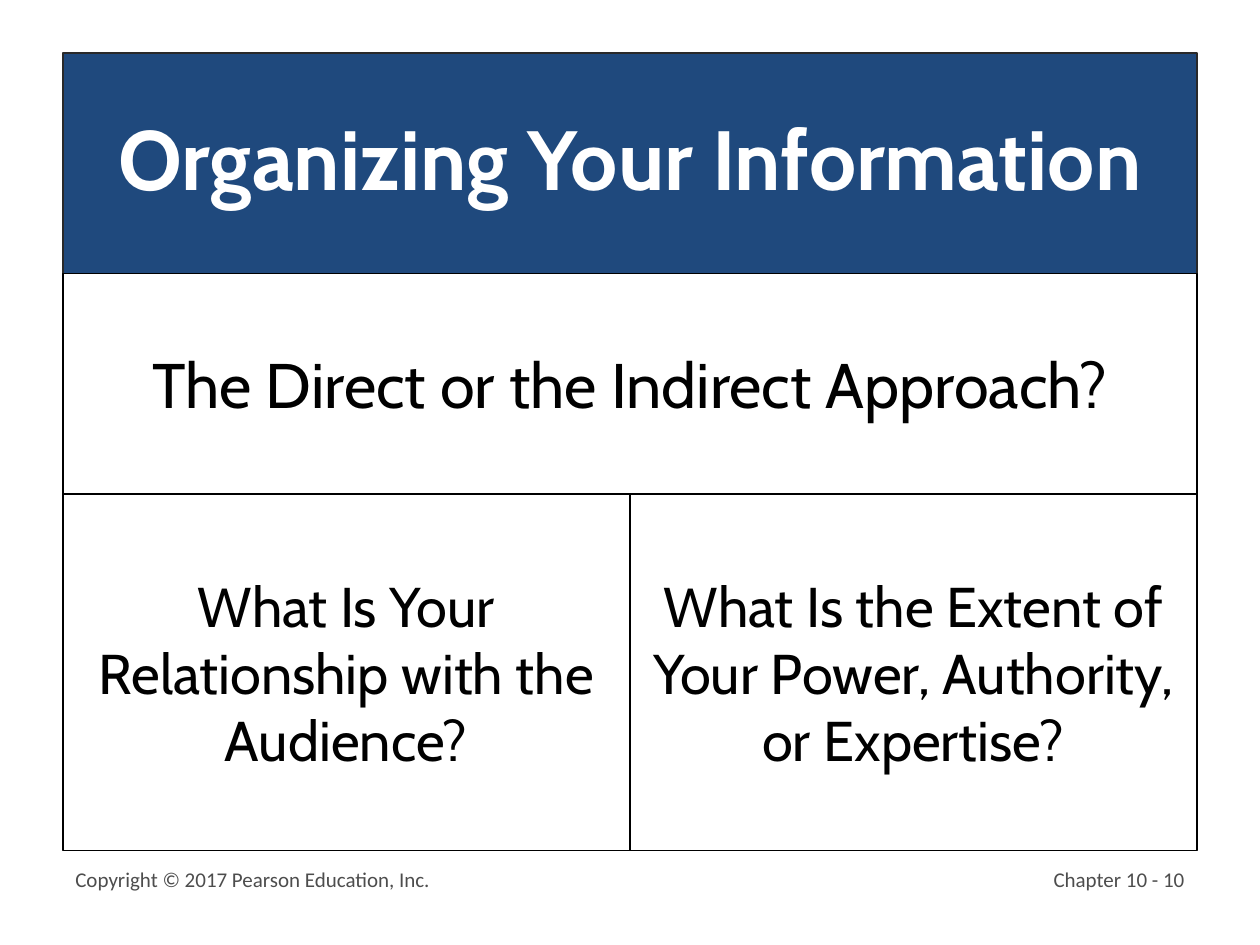
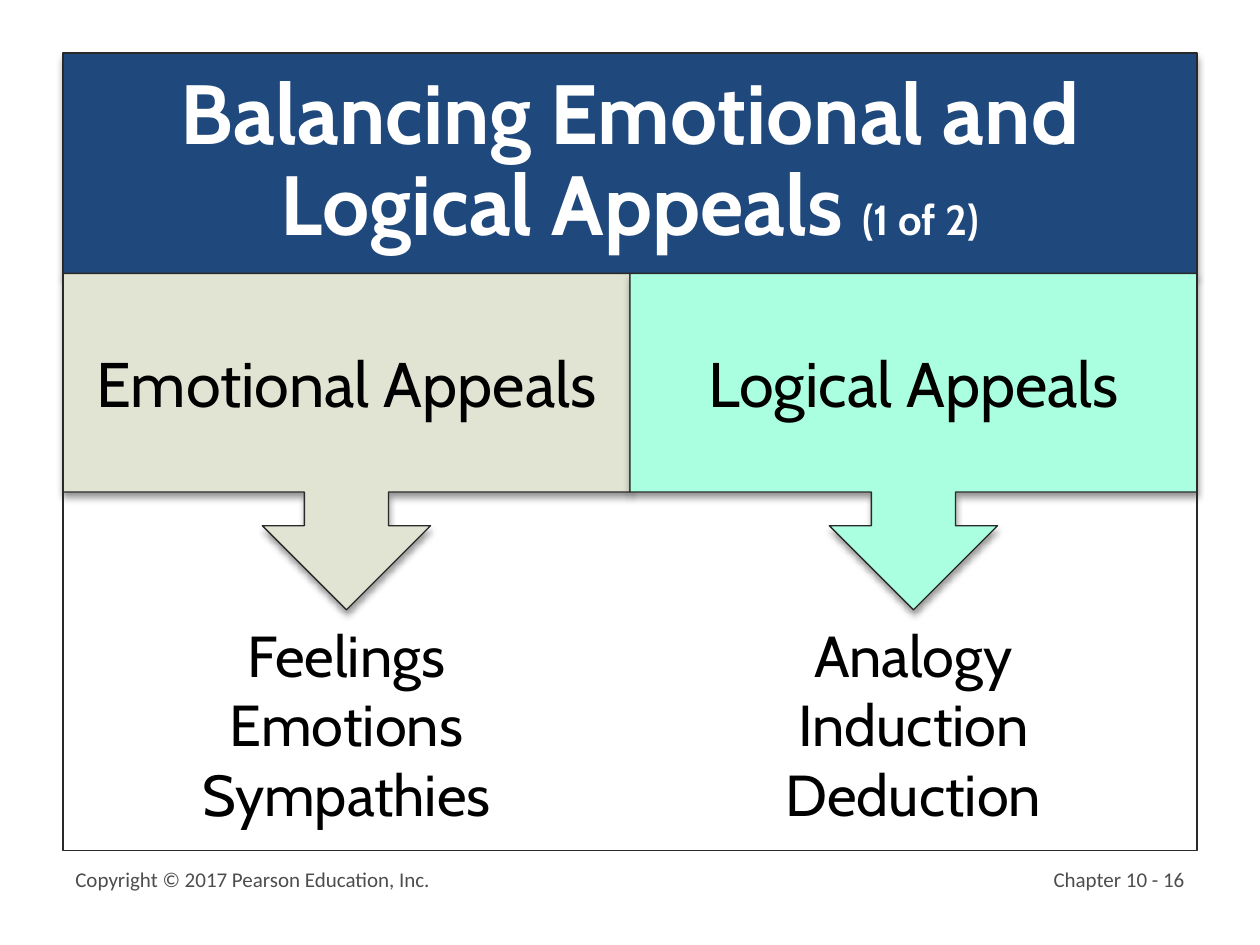
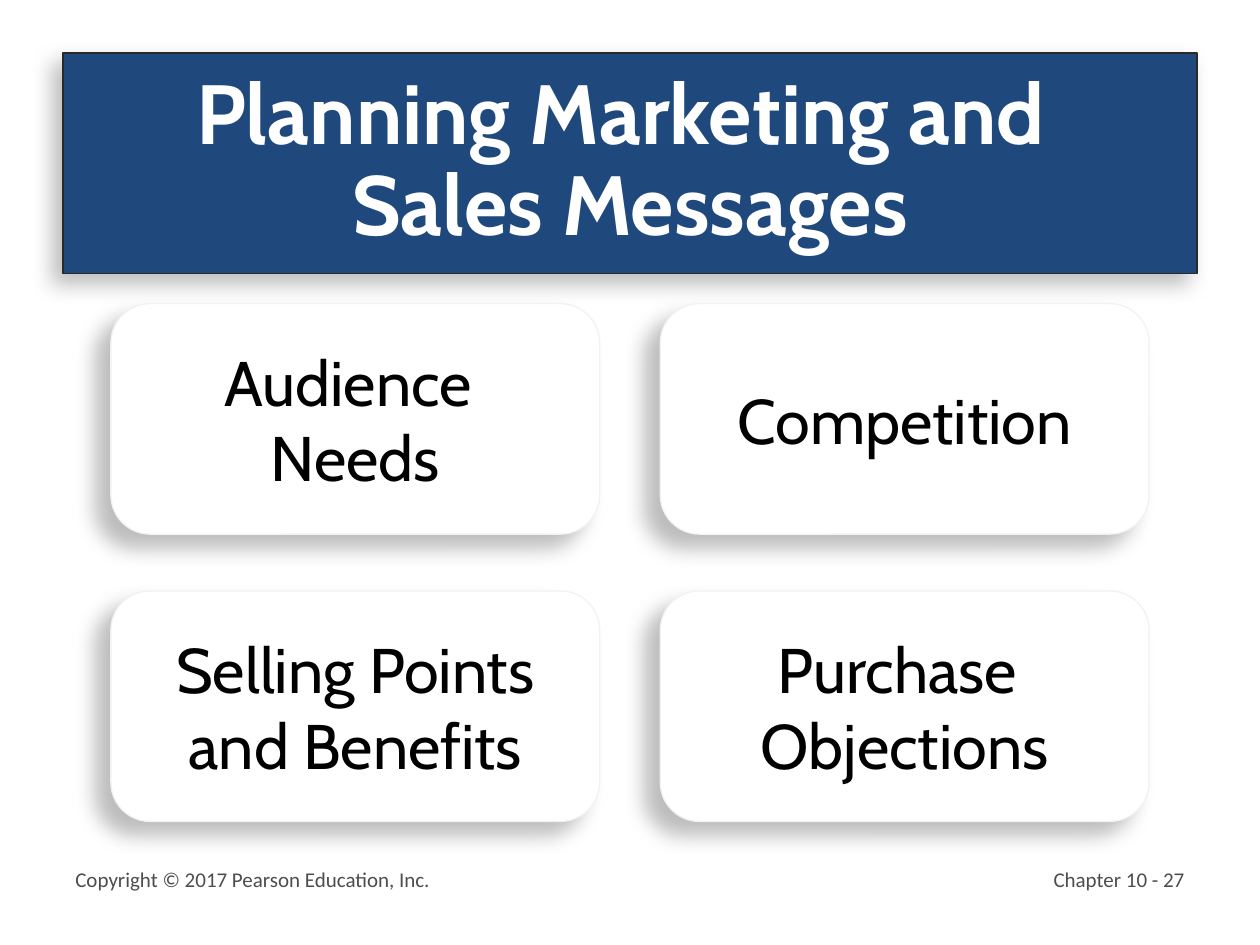
from dataclasses import dataclass

from lxml.etree import SubElement as Sub
from pptx import Presentation as Deck
from pptx.dml.color import RGBColor as Rgb
from pptx.enum.shapes import MSO_SHAPE as Geo
from pptx.enum.text import MSO_ANCHOR as Anchor, MSO_AUTO_SIZE as Auto, PP_ALIGN as Align
from pptx.oxml.ns import qn
from pptx.util import Inches, Pt


@dataclass(frozen=True)
class Theme:
    navy: str = "1F497D"
    white: str = "FFFFFF"
    black: str = "000000"
    edge: str = "292929"
    pale: str = "F2F2F2"
    sand: str = "E1E3D3"
    mint: str = "ABFFE1"
    gray: str = "4D4D4D"
    font: str = "Cabin"
    plain: str = "Calibri"
    title: int = 48
    large: int = 36
    items: int = 33
    body: int = 32
    count: int = 24
    foot: int = 12


T = Theme()

LEFT, TOP, WIDE, BAND = 0.5, 0.42, 9, 1.75
HALF = WIDE / 2
HEAD = TOP + BAND
BASE = 6.75
MID = LEFT + HALF

# Shadows: opacity in percent, blur and distance in points, angle in degrees
SOFT = (40, 4, 3, 90)
CAST = (25, 11.8, 8, 141)
DEEP = (25, 11.8, 12, 141)


def style(run, size, font, color, bold):
    face = run.font
    face.size, face.name, face.bold = Pt(size), font, bold
    face.color.rgb = Rgb.from_string(color)


def write(shape, *lines, size=T.large, font=T.font, color=T.black, bold=False,
          align=Align.CENTER, anchor=Anchor.MIDDLE, space=None):
    """Fill a shape with one paragraph per line."""
    frame = shape.text_frame
    frame.word_wrap = True
    frame.auto_size = Auto.NONE
    frame.vertical_anchor = anchor
    frame.text = "\n".join(lines)
    for para in frame.paragraphs:
        para.alignment = align
        para.line_spacing = space
        for run in para.runs:
            style(run, size, font, color, bold)


def shade(shape, alpha, blur, dist, angle):
    effect = shape._element.spPr.find(qn("a:effectLst"))
    outer = Sub(effect, qn("a:outerShdw"), blurRad=str(Pt(blur)), dist=str(Pt(dist)),
                dir=str(angle * 60000), algn="ctr", rotWithShape="0")
    tint = Sub(outer, qn("a:srgbClr"), val=T.black)
    Sub(tint, qn("a:alpha"), val=str(alpha * 1000))


def paint(shape, fill, line, shadow=None):
    if fill:
        shape.fill.solid()
        shape.fill.fore_color.rgb = Rgb.from_string(fill)
    else:
        shape.fill.background()
    shape.line.color.rgb = Rgb.from_string(line)
    shape.line.width = Pt(0.75)
    shape.shadow.inherit = False
    if shadow:
        shade(shape, *shadow)


def block(slide, at, *lines, kind=Geo.RECTANGLE, fill=T.white, line=T.black,
          shadow=None, adjust=(), size=T.large):
    shape = slide.shapes.add_shape(kind, *map(Inches, at))
    for spot, value in enumerate(adjust):
        shape.adjustments[spot] = value
    paint(shape, fill, line, shadow)
    if lines:
        write(shape, *lines, size=size)


def label(slide, at, *lines, **form):
    write(slide.shapes.add_textbox(*map(Inches, at)), *lines, **form)


def start(deck, title, page, shadow=None, count=None):
    """Add a slide with its title band and footers."""
    slide = deck.slides.add_slide(deck.slide_layouts[5])
    band = slide.shapes.title
    band.left, band.top, band.width, band.height = map(Inches, (LEFT, TOP, WIDE, BAND))
    paint(band, T.navy, T.edge, shadow)
    write(band, title, size=T.title, color=T.white, bold=True, space=0.9)
    if count:
        run = band.text_frame.paragraphs[0].add_run()
        run.text = count
        style(run, T.count, T.font, T.white, True)
    foot = dict(size=T.foot, font=T.plain, color=T.gray, anchor=Anchor.TOP)
    label(slide, (LEFT, 6.83, 6.17, 0.5), "Copyright © 2017 Pearson Education, Inc.",
          align=Align.LEFT, **foot)
    label(slide, (7.42, 6.83, 2.08, 0.5), f"Chapter 10 - {page}",
          align=Align.RIGHT, **foot)
    return slide


def organize(deck):
    slide = start(deck, "Organizing Your Information", 10)
    block(slide, (LEFT, HEAD, WIDE, BAND), "The Direct or the Indirect Approach?")
    top = HEAD + BAND
    asks = ("What Is Your Relationship with the Audience?",
            "What Is the Extent of Your Power, Authority, or Expertise?")
    for left, ask in zip((LEFT, MID), asks):
        block(slide, (left, top, HALF, BASE - top), ask, size=T.body)


def balance(deck):
    slide = start(deck, "Balancing Emotional and Logical Appeals ", 16, SOFT, "(1 of 2)")
    sides = ((LEFT, "Emotional Appeals", T.sand, ("Feelings", "Emotions", "Sympathies")),
             (MID, "Logical Appeals", T.mint, ("Analogy", "Induction", "Deduction")))
    for left, name, fill, items in sides:
        label(slide, (left, 4.83, HALF, 1.83), *items, size=T.items)
        block(slide, (left, HEAD, HALF, 2.67), name, kind=Geo.DOWN_ARROW_CALLOUT,
              fill=fill, line=T.edge, shadow=SOFT, adjust=(0.25, 0.25, 0.25, 0.65))
    block(slide, (LEFT, HEAD, WIDE, BASE - HEAD), fill=None, line=T.edge)


def plan(deck):
    slide = start(deck, "Planning Marketing and \vSales Messages", 27, CAST)
    cards = (("Audience ", "Needs"), ("Competition",),
             ("Selling Points", "and Benefits"), ("Purchase ", "Objections"))
    for spot, lines in enumerate(cards):
        row, col = divmod(spot, 2)
        block(slide, (0.88 + col * 4.36, 2.41 + row * 2.28, 3.88, 1.83), *lines,
              kind=Geo.ROUNDED_RECTANGLE, line=T.pale, shadow=DEEP, adjust=(0.17,))


def main():
    deck = Deck()
    deck.slide_width, deck.slide_height = Inches(10), Inches(7.5)
    organize(deck)
    balance(deck)
    plan(deck)
    deck.save("out.pptx")


if __name__ == "__main__":
    main()
